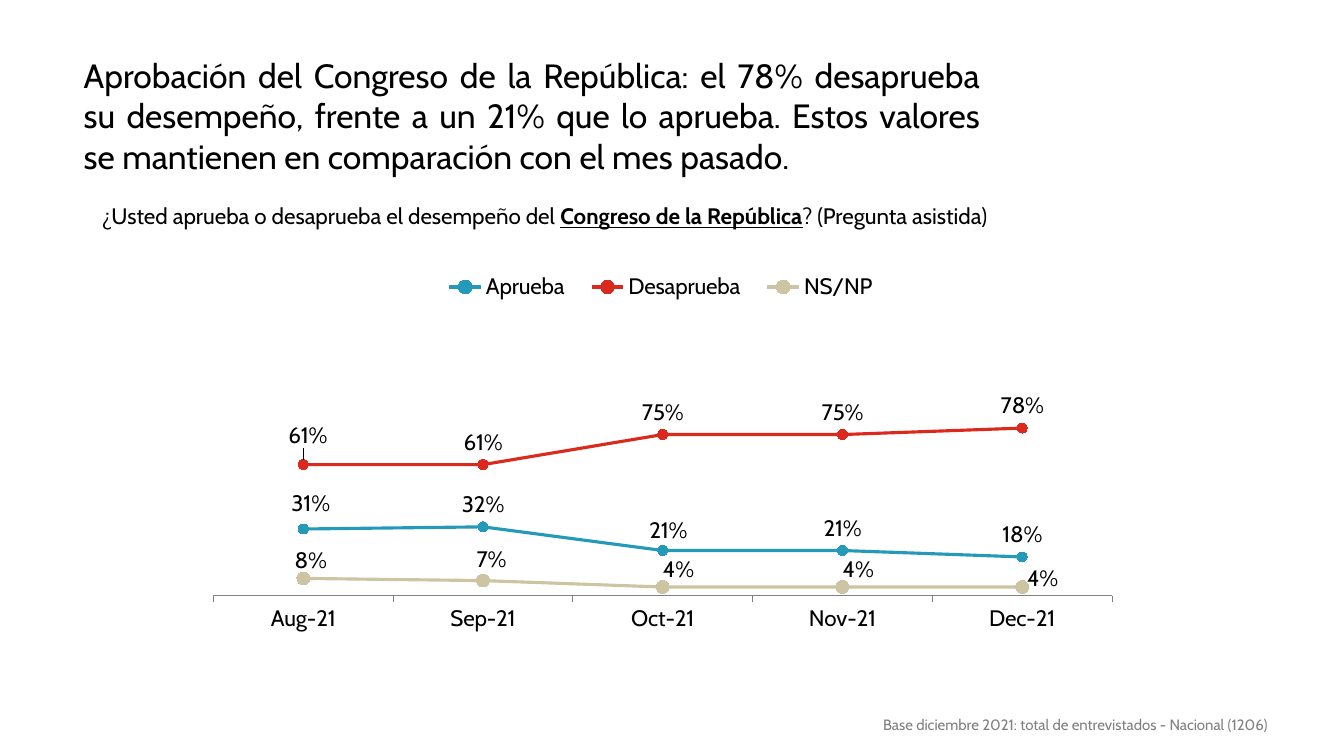
"""Build the slide on approval of the Congress, with its monthly line chart."""
from lxml import etree
from pptx import Presentation
from pptx.chart.data import CategoryChartData
from pptx.dml.color import RGBColor
from pptx.enum.chart import (XL_CHART_TYPE, XL_LABEL_POSITION, XL_LEGEND_POSITION,
                             XL_MARKER_STYLE, XL_TICK_MARK)
from pptx.enum.text import MSO_ANCHOR, PP_ALIGN
from pptx.oxml.ns import qn
from pptx.util import Inches, Pt

LINE_CHART = XL_CHART_TYPE.LINE_MARKERS
ABOVE = XL_LABEL_POSITION.ABOVE
LEGEND_TOP = XL_LEGEND_POSITION.TOP
CIRCLE = XL_MARKER_STYLE.CIRCLE
TICK_OUT, TICK_NONE = XL_TICK_MARK.OUTSIDE, XL_TICK_MARK.NONE
MIDDLE = MSO_ANCHOR.MIDDLE
JUSTIFY, LEFT = PP_ALIGN.JUSTIFY, PP_ALIGN.LEFT
BLACK, GREY = "000000", "808080"

MONTHS = ["Aug-21", "Sep-21", "Oct-21", "Nov-21", "Dec-21"]
ANSWERS = [
    ("Aprueba", "2599B8", 7, [0.31, 0.32, 0.21, 0.21, 0.18],
     {0: (0.008, -0.007), 2: (0.006, 0.005)}),
    ("Desaprueba", "DC291E", 7, [0.61, 0.61, 0.75, 0.75, 0.78],
     {0: (0.005, -0.016)}),
    ("NS/NP", "CCC4A3", 9, [0.08, 0.07, 0.04, 0.04, 0.04],
     {0: (0.008, 0.014), 1: (0.009, 0.005), 2: (0.017, 0.014),
      3: (0.017, 0.014), 4: (0.022, 0.034)}),
]


def style(font, size, color=BLACK):
    font.name = "Cabin"
    font.size = Pt(size)
    font.color.rgb = RGBColor.from_string(color)


def make_layout(**settings):
    layout = etree.Element(qn("c:layout"))
    manual = etree.SubElement(layout, qn("c:manualLayout"))
    for name, value in settings.items():
        etree.SubElement(manual, qn("c:" + name)).set("val", str(value))
    return layout


deck = Presentation()
deck.slide_width, deck.slide_height = Inches(13.33), Inches(7.5)
page = deck.slides.add_slide(deck.slide_layouts[5])

title = page.shapes.title
title.left, title.top, title.width, title.height = map(Inches, (0.73, 0.48, 9.09, 1.33))
question = page.shapes.add_textbox(*map(Inches, (0.91, 1.96, 9.14, 0.37)))
base = page.shapes.add_textbox(*map(Inches, (8.66, 7.07, 4.2, 0.26)))

texts = [
    (title, JUSTIFY, 24, BLACK, 1.0, [
        ("Aprobación del Congreso de la República: el 78% desaprueba su desempeño, "
         "frente a un 21% que lo aprueba. Estos valores se mantienen en comparación "
         "con el mes pasado.", False)]),
    (question, LEFT, 16, BLACK, 1.0, [
        ("¿Usted aprueba o desaprueba el desempeño del ", False),
        ("Congreso de la República", True),
        ("? (Pregunta asistida)", False)]),
    (base, JUSTIFY, 10.7, GREY, 0.9, [
        ("Base diciembre 2021: total de entrevistados - Nacional (1206)", False)]),
]
for box, alignment, size, color, spacing, spans in texts:
    box.text_frame.word_wrap = True
    para = box.text_frame.paragraphs[0]
    para.alignment = alignment
    para.line_spacing = spacing
    for words, stressed in spans:
        span = para.add_run()
        span.text = words
        span.font.bold = span.font.underline = stressed
        style(span.font, size, color)
title.text_frame.vertical_anchor = MIDDLE

data = CategoryChartData(number_format="0%")
data.categories = MONTHS
for name, color, marker_size, values, shifts in ANSWERS:
    data.add_series(name, values)
chart = page.shapes.add_chart(
    LINE_CHART, *map(Inches, (1.97, 2.48, 9.17, 4.32)), data).chart
style(chart.font, 14)
chart.font.name = "Arial"
chart.has_title = False

chart.has_legend = True
legend = chart.legend
legend.position = LEGEND_TOP
legend.include_in_layout = False
style(legend.font, 16)
legend_layout = make_layout(xMode="edge", yMode="edge", x=0.25, y=0.04, w=0.5, h=0.09)
legend_xml = chart.element.find(".//" + qn("c:legend"))
for automatic in legend_xml.findall(qn("c:layout")):
    legend_xml.remove(automatic)
legend_xml.find(qn("c:legendPos")).addnext(legend_layout)

plot_xml = chart.element.find(".//" + qn("c:plotArea"))
for automatic in plot_xml.findall(qn("c:layout")):
    plot_xml.remove(automatic)
plot_xml.insert(0, make_layout(layoutTarget="inner", xMode="edge", yMode="edge",
                               x=0.016, y=0.35, w=0.972, h=0.444))

months = chart.category_axis
months.major_tick_mark, months.minor_tick_mark = TICK_OUT, TICK_NONE
months.has_major_gridlines = False
months.format.line.color.rgb = RGBColor.from_string(GREY)
months.format.line.width = Pt(0.75)
style(months.tick_labels.font, 16)
shares = chart.value_axis
shares.minimum_scale, shares.maximum_scale = 0, 0.9
shares.has_major_gridlines = False
shares.tick_labels.number_format = "0%"
shares.tick_labels.number_format_is_linked = False
shares.visible = False

for series, (name, color, marker_size, values, shifts) in zip(chart.plots[0].series, ANSWERS):
    paint = RGBColor.from_string(color)
    series.smooth = False
    series.format.line.color.rgb = paint
    series.format.line.width = Pt(2.25)
    marker = series.marker
    marker.style, marker.size = CIRCLE, marker_size
    marker.format.fill.solid()
    marker.format.fill.fore_color.rgb = paint
    marker.format.line.color.rgb = paint
    labels = series.data_labels
    labels.show_value = True
    labels.position = ABOVE
    labels.number_format = "0%"
    labels.number_format_is_linked = False
    style(labels.font, 16)
    for month, (right, down) in shifts.items():
        label = series.points[month].data_label
        label.position = ABOVE
        style(label.font, 16)
    for label_xml in labels._element.findall(qn("c:dLbl")):
        index_xml = label_xml.find(qn("c:idx"))
        right, down = shifts[int(index_xml.get("val"))]
        index_xml.addnext(make_layout(x=right, y=down))

deck.save("out.pptx")
